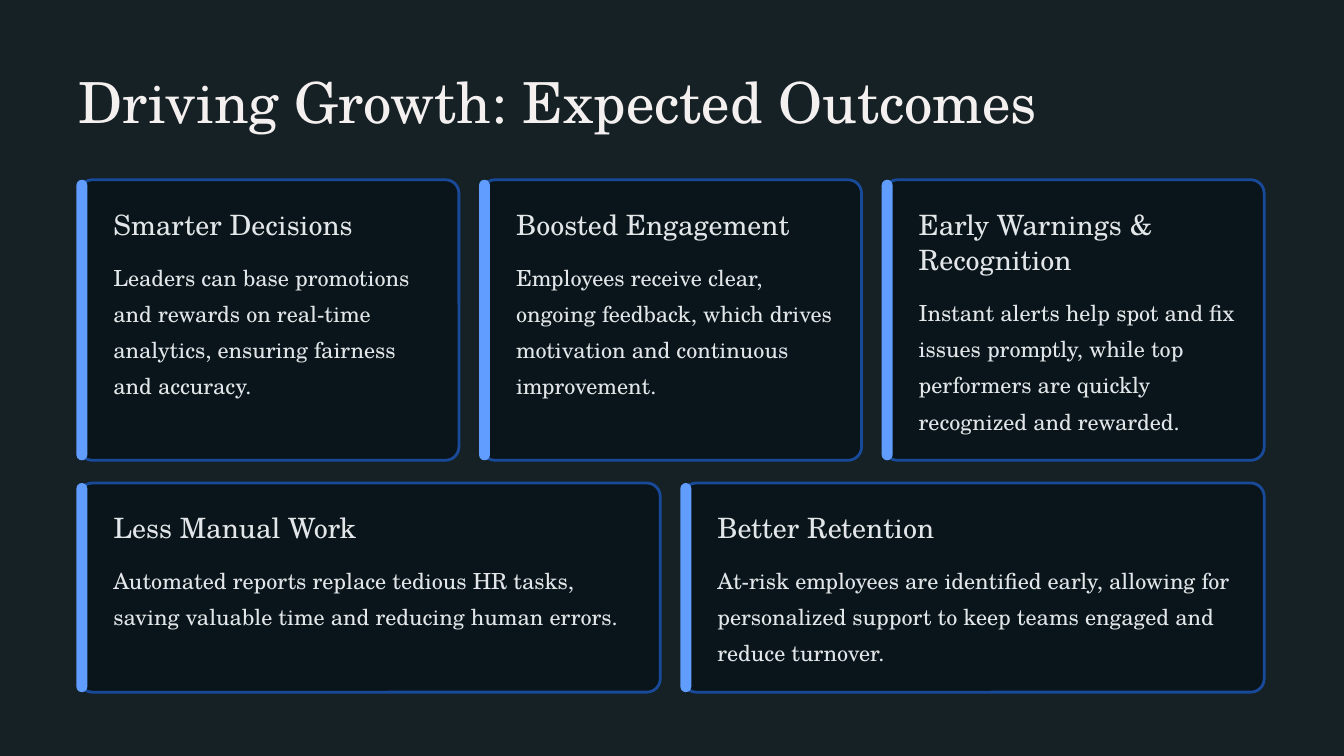
from lxml.etree import SubElement
from pptx import Presentation
from pptx.dml.color import RGBColor
from pptx.enum.shapes import MSO_SHAPE as Shape
from pptx.oxml.ns import qn
from pptx.util import Inches, Pt

COLORS = {
    "page": "152125",
    "card": "09151A",
    "border": "194A99",
    "bar": "609DFF",
    "title": "F5F0F0",
    "text": "E2E6E9",
}
FONT = "TeX Gyre Schola"
LEFT, GRID_WIDTH, GAP = 0.94, 14.11, 0.27
RADIUS, BAR_WIDTH = 0.16, 0.13
INSET_X, INSET_Y = 0.41, 0.31
HEADING_LINE, HEADING_GAP = 0.42, 0.16

# Each row: top, height, and cards of (heading, heading lines, body)
ROWS = [
    (2.14, 3.34, [
        ("Smarter Decisions", 1,
         "Leaders can base promotions and rewards on real-time analytics, "
         "ensuring fairness and accuracy."),
        ("Boosted Engagement", 1,
         "Employees receive clear, ongoing feedback, which drives motivation "
         "and continuous improvement."),
        ("Early Warnings & Recognition", 2,
         "Instant alerts help spot and fix issues promptly, while top "
         "performers are quickly recognized and rewarded."),
    ]),
    (5.75, 2.49, [
        ("Less Manual Work", 1,
         "Automated reports replace tedious HR tasks, saving valuable time "
         "and reducing human errors."),
        ("Better Retention", 1,
         "At-risk employees are identified early, allowing for personalized "
         "support to keep teams engaged and reduce turnover."),
    ]),
]


def rgb(name):
    return RGBColor.from_string(COLORS[name])


def add_text(page, text, left, top, width, height, *, size, leading, color="text"):
    box = page.shapes.add_textbox(*map(Inches, (left, top, width, height)))
    frame = box.text_frame
    frame.word_wrap = True
    frame.margin_left = frame.margin_top = 0
    frame.margin_right = frame.margin_bottom = 0
    para = frame.paragraphs[0]
    para.line_spacing = Pt(leading)
    span = para.add_run()
    span.text = text
    span.font.name = FONT
    span.font.size = Pt(size)
    span.font.color.rgb = rgb(color)


def add_rounded(page, left, top, width, height, radius, fill):
    shape = page.shapes.add_shape(
        Shape.ROUNDED_RECTANGLE, *map(Inches, (left, top, width, height)))
    shape.adjustments[0] = radius / min(width, height)
    shape.shadow.inherit = False
    shape.fill.solid()
    shape.fill.fore_color.rgb = rgb(fill)
    shape.line.fill.background()
    return shape


def add_card(page, left, top, width, height, heading, heading_lines, body):
    panel = add_rounded(page, left, top, width, height, RADIUS, "card")
    fill_color = panel.fill._xPr.find(qn("a:solidFill"))[0]
    SubElement(fill_color, qn("a:alpha"), val="95000")
    panel.line.color.rgb = rgb("border")
    panel.line.width = Pt(2.4)
    add_rounded(page, left - 0.03, top, BAR_WIDTH, height, BAR_WIDTH / 2, "bar")

    text_left, text_width = left + INSET_X, width - 0.7
    heading_top = top + INSET_Y
    heading_height = heading_lines * HEADING_LINE
    body_top = heading_top + heading_height + HEADING_GAP
    body_height = top + height - 0.3 - body_top
    add_text(page, heading, text_left, heading_top, text_width, heading_height,
             size=24, leading=30)
    add_text(page, body, text_left, body_top, text_width, body_height,
             size=19, leading=31)


def add_card_row(page, top, height, cards):
    width = (GRID_WIDTH - GAP * (len(cards) - 1)) / len(cards)
    for column, card in enumerate(cards):
        add_card(page, LEFT + column * (width + GAP), top, width, height, *card)


def main():
    deck = Presentation()
    deck.slide_width, deck.slide_height = Inches(16), Inches(9)
    page = deck.slides.add_slide(deck.slide_layouts[6])
    page.background.fill.solid()
    page.background.fill.fore_color.rgb = rgb("page")
    add_text(page, "Driving Growth: Expected Outcomes", LEFT, 0.76, 11.81, 0.84,
             size=48.5, leading=60.5, color="title")
    for row in ROWS:
        add_card_row(page, *row)
    deck.save("out.pptx")


if __name__ == "__main__":
    main()
